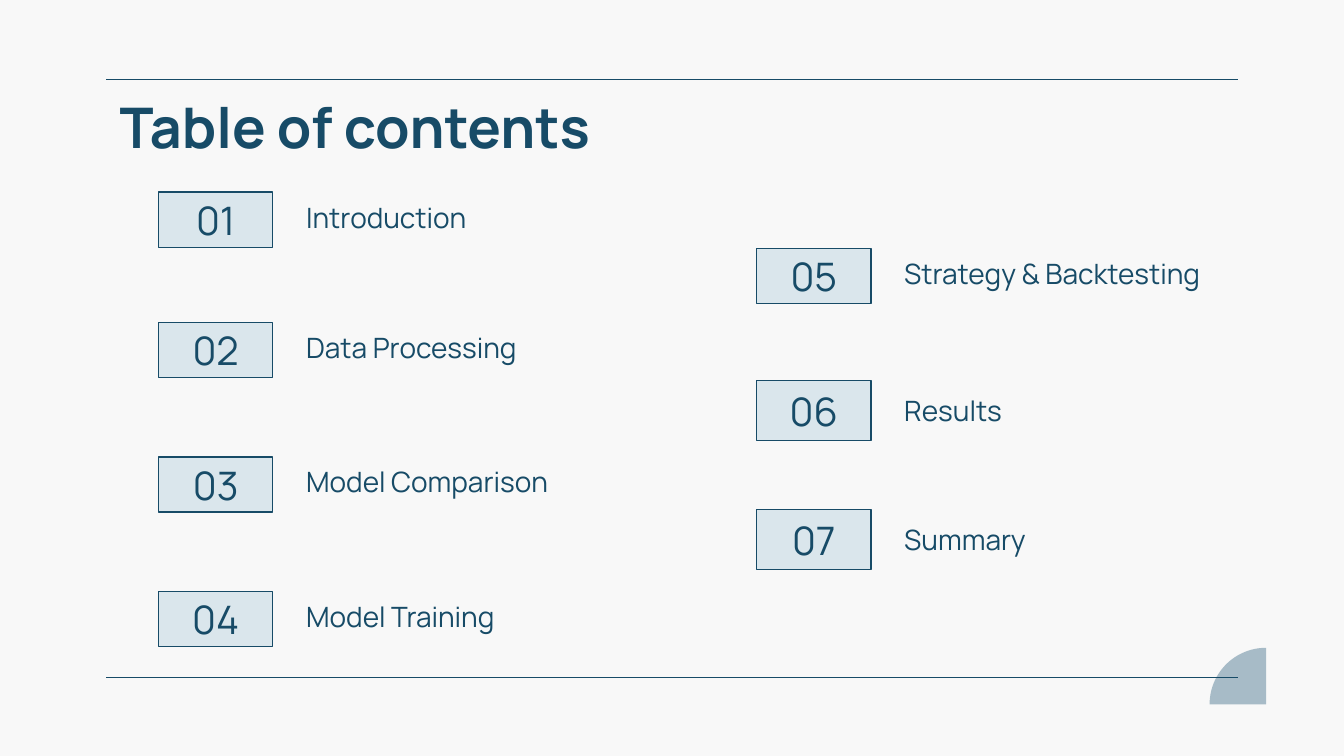
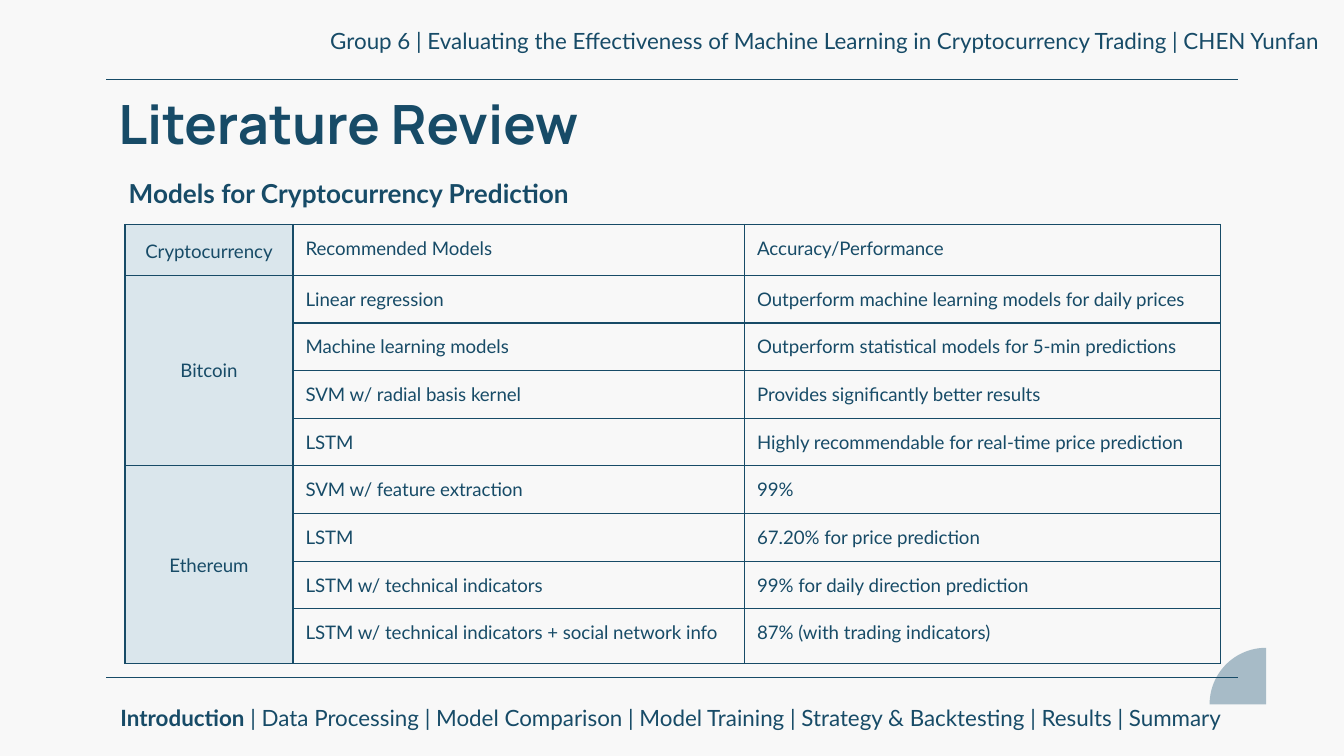
from math import cos, pi, sin

from lxml.etree import SubElement
from pptx import Presentation
from pptx.dml.color import RGBColor
from pptx.enum.shapes import MSO_CONNECTOR, MSO_SHAPE
from pptx.enum.text import MSO_ANCHOR as Anchor, MSO_AUTO_SIZE, PP_ALIGN as Align
from pptx.oxml.ns import qn
from pptx.util import Inches, Pt

NAVY = RGBColor(0x17, 0x4B, 0x67)
PALE = RGBColor(0xDA, 0xE6, 0xEC)
STEEL = RGBColor(0xA7, 0xBB, 0xC7)
PAPER = RGBColor(0xF8, 0xF8, 0xF8)
RULE_WIDTH = Pt(0.75)
SIDES = ("left", "top", "right", "bottom")

TITLE = {"name": "Manrope", "size": Pt(30), "bold": True}
REVIEW_TITLE = {**TITLE, "size": Pt(29)}
NUMBER = {"name": "Manrope", "size": Pt(21), "bold": False}
SECTION = {"name": "Manrope", "size": Pt(15), "bold": False}
BAND = {"name": "Lato", "size": Pt(12), "bold": False}
CURRENT = {**BAND, "bold": True}
SUBTITLE = {"name": "Lato", "size": Pt(14), "bold": True}
BODY = {"name": "Lato", "size": Pt(10), "bold": False}


def write(frame, runs, align=Align.LEFT, anchor=None):
    if anchor is not None:
        frame.auto_size = MSO_AUTO_SIZE.NONE
        frame.word_wrap = True
        frame.vertical_anchor = anchor
        for side in SIDES:
            setattr(frame, f"margin_{side}", Inches(0.1))
    paragraph = frame.paragraphs[0]
    paragraph.alignment = align
    for text, style in runs:
        run = paragraph.add_run()
        run.text = text
        run.font.color.rgb = NAVY
        for attribute, value in style.items():
            setattr(run.font, attribute, value)


def outline_cell(cell):
    properties = cell._tc.get_or_add_tcPr()
    for edge in ("a:lnL", "a:lnR", "a:lnT", "a:lnB"):
        border = SubElement(properties, qn(edge), w=str(RULE_WIDTH))
        SubElement(SubElement(border, qn("a:solidFill")), qn("a:srgbClr"), val=str(NAVY))


prs = Presentation()
prs.slide_width = Inches(10)
prs.slide_height = prs.slide_width * 9 // 16
backdrop = prs.slide_master.background.fill
backdrop.solid()
backdrop.fore_color.rgb = PAPER

titles = [
    ("Table of contents", TITLE, (0.79, 0.59, 8.43, 0.57)),
    ("Literature Review", REVIEW_TITLE, (0.78, 0.57, 5.05, 0.69)),
]
radius = Inches(0.42)
corner_x, corner_y = Inches(9.42), Inches(5.24)
arc_steps = 24
for heading, style, place in titles:
    slide = prs.slides.add_slide(prs.slide_layouts[5])
    title = slide.shapes.title
    title.left, title.top, title.width, title.height = map(Inches, place)
    write(title.text_frame, [(heading, style)], anchor=Anchor.TOP)

    arc = [
        (corner_x - radius * sin(step * pi / 2 / arc_steps),
         corner_y - radius * cos(step * pi / 2 / arc_steps))
        for step in range(arc_steps + 1)
    ]
    outline = slide.shapes.build_freeform(corner_x, corner_y)
    outline.add_line_segments(arc, close=True)
    quarter = outline.convert_to_shape()
    quarter.shadow.inherit = False
    quarter.fill.solid()
    quarter.fill.fore_color.rgb = STEEL
    quarter.line.fill.background()

    for rule_y in (0.59, 5.04):
        rule = slide.shapes.add_connector(
            MSO_CONNECTOR.STRAIGHT, Inches(0.79), Inches(rule_y), Inches(9.21), Inches(rule_y))
        rule.line.color.rgb = NAVY
        rule.line.width = RULE_WIDTH
        SubElement(rule._element.spPr, qn("a:effectLst"))

contents, review = prs.slides

sections = [
    ("Introduction", 1.18, 1.43, 0.41),
    ("Data Processing", 1.18, 2.4, 0.41),
    ("Model Comparison", 1.18, 3.4, 0.41),
    ("Model Training", 1.18, 4.4, 0.41),
    ("Strategy & Backtesting", 5.63, 1.85, 0.41),
    ("Results", 5.63, 2.83, 0.45),
    ("Summary", 5.63, 3.79, 0.45),
]
for number, (section, left, top, height) in enumerate(sections, 1):
    badge = contents.shapes.add_shape(
        MSO_SHAPE.RECTANGLE, Inches(left), Inches(top), Inches(0.85), Inches(height))
    badge.shadow.inherit = False
    badge.fill.solid()
    badge.fill.fore_color.rgb = PALE
    badge.line.color.rgb = NAVY
    badge.line.width = RULE_WIDTH
    write(badge.text_frame, [(f"{number:02}", NUMBER)], Align.CENTER, Anchor.MIDDLE)
    label = contents.shapes.add_textbox(
        Inches(left + 1), Inches(top), Inches(3.6), Inches(height))
    write(label.text_frame, [(section, SECTION)], anchor=Anchor.BOTTOM)

current, *upcoming = [section for section, *_ in sections]
running_head = ("Group 6 | Evaluating the Effectiveness of Machine Learning in "
                "Cryptocurrency Trading | CHEN Yunfan")
review_texts = [
    ((2.07, 0.1, 7.85, 0.4), Align.RIGHT, [(running_head, BAND)]),
    ((0.64, 5.14, 8.71, 0.4), Align.CENTER,
     [(current, CURRENT), ("".join(f" | {section}" for section in upcoming), BAND)]),
    ((0.86, 1.22, 7.23, 0.45), Align.LEFT,
     [("Models for Cryptocurrency Prediction", SUBTITLE)]),
]
for place, align, runs in review_texts:
    box = review.shapes.add_textbox(*map(Inches, place))
    write(box.text_frame, runs, align, Anchor.TOP)

findings = [
    ("Cryptocurrency", "Recommended Models", "Accuracy/Performance"),
    ("Bitcoin", "Linear regression", "Outperform machine learning models for daily prices"),
    ("", "Machine learning models", "Outperform statistical models for 5-min predictions"),
    ("", "SVM w/ radial basis kernel", "Provides significantly better results"),
    ("", "LSTM", "Highly recommendable for real-time price prediction"),
    ("Ethereum", "SVM w/ feature extraction", "99%"),
    ("", "LSTM", "67.20% for price prediction"),
    ("", "LSTM w/ technical indicators", "99% for daily direction prediction"),
    ("", "LSTM w/ technical indicators + social network info", "87% (with trading indicators)"),
]
models = review.shapes.add_table(
    len(findings), 3, Inches(0.93), Inches(1.67), Inches(8.14), Inches(3.25)).table
models.first_row = models.horz_banding = False
for column, width in zip(models.columns, (1.25, 3.36, 3.54)):
    column.width = Inches(width)
for row in models.rows:
    row.height = Inches(0.34)
models.rows[len(findings) - 1].height = Inches(0.41)

for row_index, finding in enumerate(findings):
    for column_index, text in enumerate(finding):
        cell = models.cell(row_index, column_index)
        outline_cell(cell)
        for side in SIDES:
            setattr(cell, f"margin_{side}", Pt(6.75))
        if column_index == 0:
            cell.fill.solid()
            cell.fill.fore_color.rgb = PALE
            cell.vertical_anchor = Anchor.MIDDLE if row_index else Anchor.TOP
        else:
            cell.fill.background()
            cell.text_frame.paragraphs[0].space_after = Pt(16)
        if text:
            write(cell.text_frame, [(text, BODY)], Align.LEFT if column_index else Align.CENTER)
models.cell(0, 0).text_frame.paragraphs[0].line_spacing = 1.15
for first in (1, 5):
    models.cell(first, 0).merge(models.cell(first + 3, 0))

prs.save("out.pptx")
